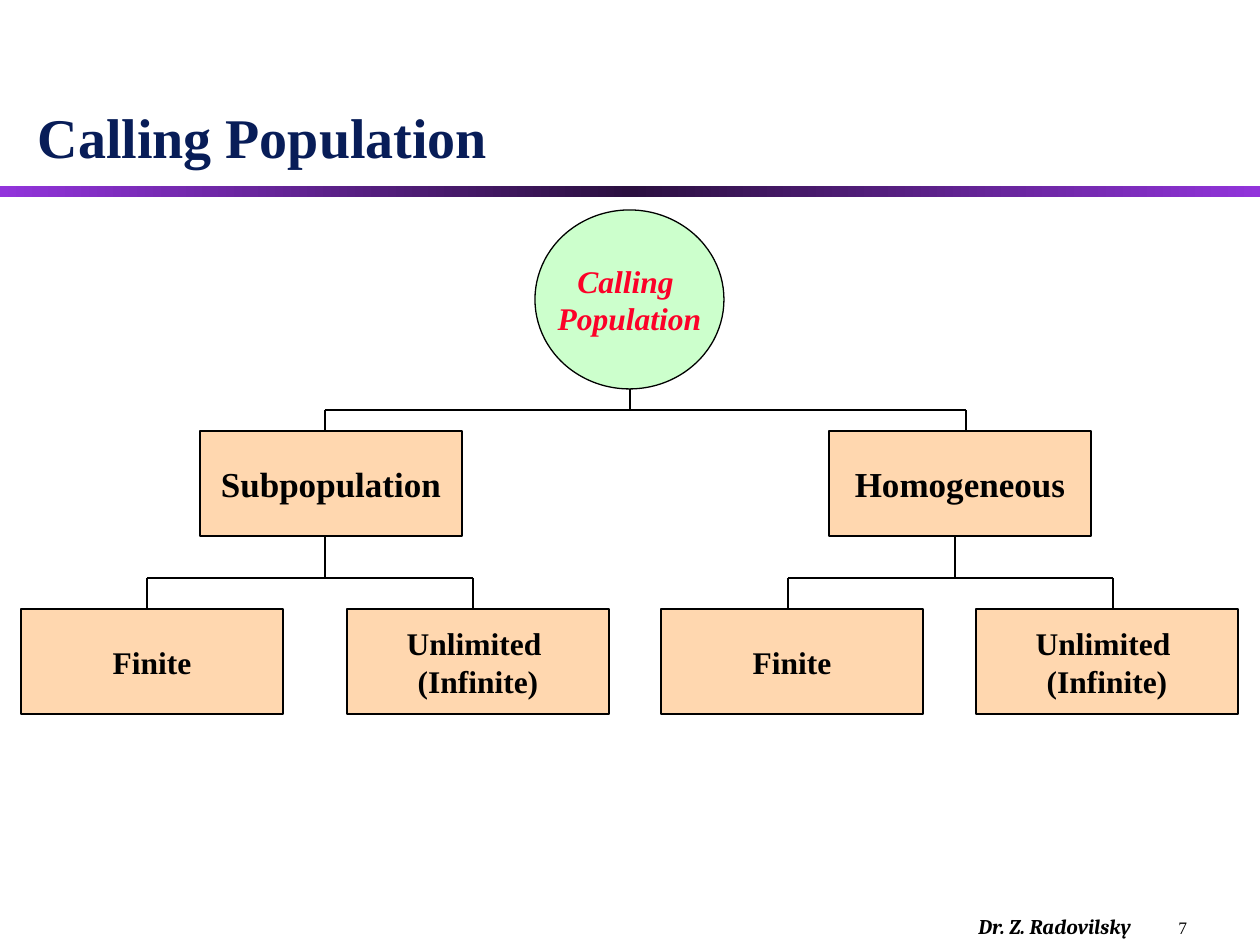
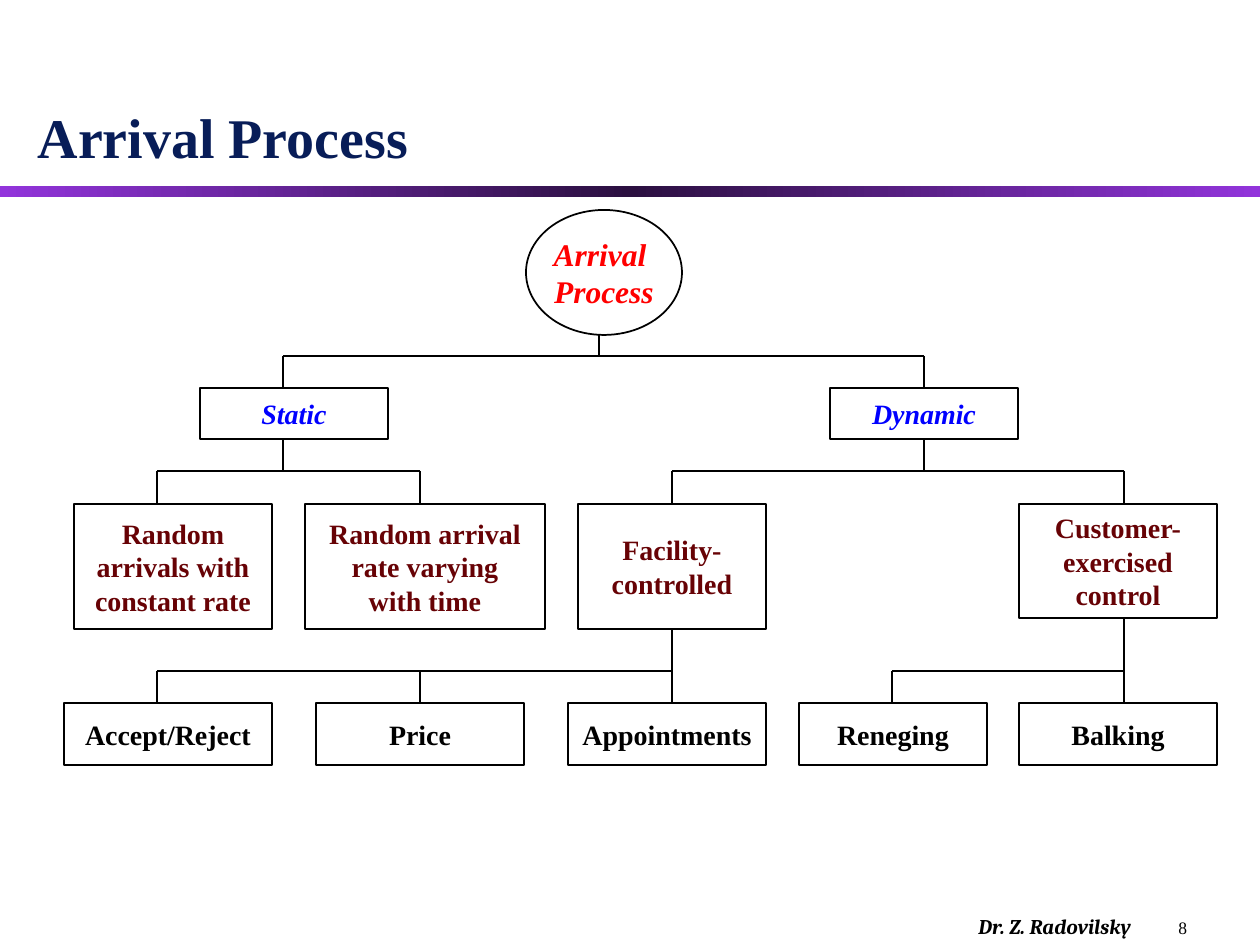
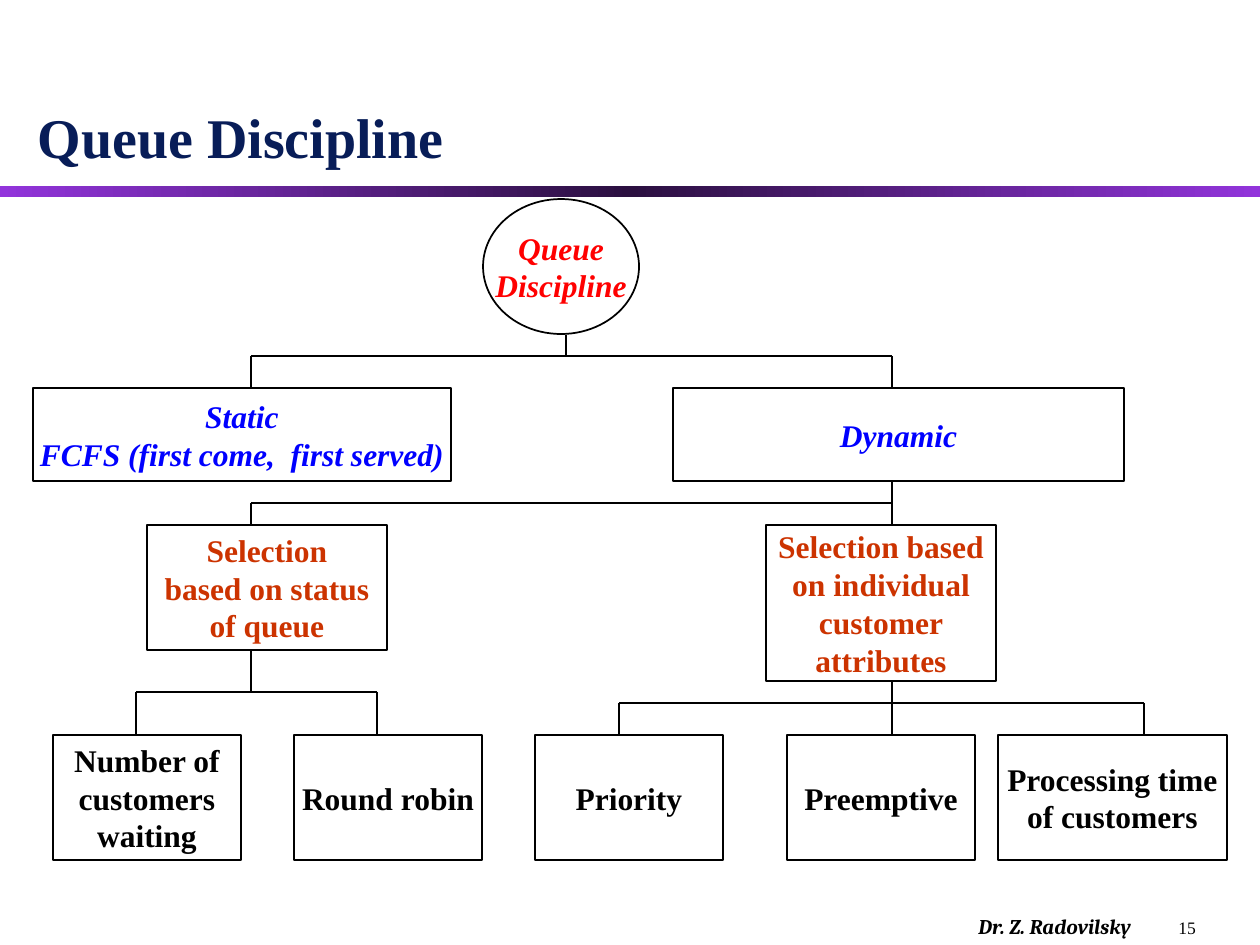
import copy

import pptx
import pptx.dml.color
import pptx.enum.shapes
import pptx.enum.text
import pptx.oxml.ns
import pptx.util

RGBColor = pptx.dml.color.RGBColor
MSO_SHAPE = pptx.enum.shapes.MSO_SHAPE

PX_PER_INCH = 126
SERIF = "Times New Roman"
FOOTER_FONT = "Cambria"

BLACK = RGBColor(0x00, 0x00, 0x00)
NAVY = RGBColor(0x08, 0x1D, 0x58)
PURPLE = RGBColor(0x92, 0x34, 0xDB)
DARK_PURPLE = RGBColor(0x2B, 0x10, 0x40)
GREEN = RGBColor(0xCC, 0xFF, 0xCC)
PEACH = RGBColor(0xFF, 0xD7, 0xAF)
CRIMSON = RGBColor(0xFC, 0x01, 0x28)
RED = RGBColor(0xFF, 0x00, 0x00)
BLUE = RGBColor(0x00, 0x00, 0xFF)
MAROON = RGBColor(0x67, 0x02, 0x05)
RUST = RGBColor(0xCC, 0x33, 0x00)


def px(length):
    return pptx.util.Emu(round(length * 914400 / PX_PER_INCH))


class TreeDeck:
    """Holds the shared style and the slide being drawn."""

    def __init__(self):
        self.presentation = pptx.Presentation()
        self.presentation.slide_width = px(1260)
        self.presentation.slide_height = px(945)
        self.slide = None
        self.line_width = 1
        self.size = 18

    def new_slide(self, title, number, line_width, size):
        layout = self.presentation.slide_layouts.get_by_name("Title Only")
        self.slide = self.presentation.slides.add_slide(layout)
        self.line_width = line_width
        self.size = size
        self.title(title)
        self.band()
        self.label("Dr. Z. Radovilsky", (966, 907, 262, 38), 12, FOOTER_FONT, emphasis=True)
        self.label(str(number), (1166, 911, 63, 34), 10, SERIF)

    def format_text(self, frame, text, size, color, font=SERIF, bold=True, italic=False,
                    alignment=pptx.enum.text.PP_ALIGN.LEFT):
        frame.text = text
        for paragraph in frame.paragraphs:
            paragraph.alignment = alignment
            paragraph.font.name = font
            paragraph.font.size = pptx.util.Pt(size)
            paragraph.font.bold = bold
            paragraph.font.italic = italic
            paragraph.font.color.rgb = color

    def title(self, text):
        title = self.slide.shapes.title
        title.left, title.top, title.width, title.height = map(px, (25, 20, 1211, 156))
        frame = title.text_frame
        frame.auto_size = pptx.enum.text.MSO_AUTO_SIZE.NONE
        frame.vertical_anchor = pptx.enum.text.MSO_ANCHOR.BOTTOM
        self.format_text(frame, text, 32, NAVY)

    def band(self):
        band = self.slide.shapes.add_shape(MSO_SHAPE.RECTANGLE, *map(px, (0, 186, 1260, 11)))
        band.shadow.inherit = False
        band.line.fill.background()
        band.fill.gradient()
        band.fill.gradient_angle = 0
        stop_list = band._element.spPr.find(".//" + pptx.oxml.ns.qn("a:gsLst"))
        stop_list.append(copy.deepcopy(stop_list[0]))
        colors = (PURPLE, DARK_PURPLE, PURPLE)
        for stop, position, color in zip(band.fill.gradient_stops, (0, 0.5, 1), colors):
            stop.position = position
            stop.color.rgb = color

    def label(self, text, bounds, size, font, emphasis=False):
        box = self.slide.shapes.add_textbox(*map(px, bounds))
        box.text_frame.word_wrap = True
        self.format_text(box.text_frame, text, size, BLACK, font, emphasis, emphasis)

    def node(self, text, left, top, width, height, color=BLACK, fill=None, size=None,
             italic=False, outline=MSO_SHAPE.RECTANGLE):
        shape = self.slide.shapes.add_shape(outline, *map(px, (left, top, width, height)))
        shape.shadow.inherit = False
        if fill is None:
            shape.fill.background()
        else:
            shape.fill.solid()
            shape.fill.fore_color.rgb = fill
        shape.line.color.rgb = BLACK
        shape.line.width = pptx.util.Pt(self.line_width)
        frame = shape.text_frame
        frame.word_wrap = False
        frame.vertical_anchor = pptx.enum.text.MSO_ANCHOR.MIDDLE
        self.format_text(frame, text, size or self.size, color, italic=italic,
                         alignment=pptx.enum.text.PP_ALIGN.CENTER)

    def root(self, text, left, top, width, height, color=RED, fill=None):
        self.node(text, left, top, width, height, color, fill, size=18, italic=True,
                  outline=MSO_SHAPE.OVAL)

    def line(self, x1, y1, x2, y2):
        straight = pptx.enum.shapes.MSO_CONNECTOR.STRAIGHT
        connector = self.slide.shapes.add_connector(straight, *map(px, (x1, y1, x2, y2)))
        connector.line.color.rgb = BLACK
        connector.line.width = pptx.util.Pt(self.line_width)
        properties = connector._element.spPr
        properties.append(properties.makeelement(pptx.oxml.ns.qn("a:effectLst"), {}))

    def branch(self, stem, top, bus, drops, bottom):
        """Stem down to a horizontal bus, then a drop to each child."""
        self.line(stem, top, stem, bottom if stem in drops else bus)
        self.line(min(drops), bus, max(drops), bus)
        for drop in drops:
            if drop != stem:
                self.line(drop, bus, drop, bottom)


def calling_population(deck):
    deck.new_slide("Calling Population", 7, line_width=0.75, size=18)
    deck.root("Calling \nPopulation", 535, 210, 189, 179, CRIMSON, GREEN)
    deck.branch(630, 389, 410, (325, 966), 431)

    # Each half: kind, its left and stem, its children's lefts and drops
    halves = (
        ("Subpopulation", 200, 325, (21, 347), (147, 473)),
        ("Homogeneous", 829, 955, (661, 976), (788, 1113)),
    )
    for kind, left, stem, child_lefts, drops in halves:
        deck.node(kind, left, 431, 262, 105, fill=PEACH, size=20)
        for text, child_left in zip(("Finite", "Unlimited \n(Infinite)"), child_lefts):
            deck.node(text, child_left, 609, 262, 105, fill=PEACH)
        deck.branch(stem, 536, 578, drops, 609)


def arrival_process(deck):
    deck.new_slide("Arrival Process", 8, line_width=1, size=16)
    deck.root("Arrival \nProcess", 526, 210, 156, 125)

    for text, left in (("Static", 200), ("Dynamic", 830)):
        deck.node(text, left, 388, 188, 51, BLUE, italic=True)

    controls = (
        ("Random\narrivals with\nconstant rate", 74, 198, 125),
        ("Random arrival\nrate varying\nwith time", 305, 240, 125),
        ("Facility-\ncontrolled", 578, 188, 125),
        ("Customer-\nexercised\ncontrol", 1019, 198, 114),
    )
    for text, left, width, height in controls:
        deck.node(text, left, 504, width, height, MAROON)

    actions = (
        ("Accept/Reject", 64, 208),
        ("Price", 316, 208),
        ("Appointments", 568, 198),
        ("Reneging", 799, 188),
        ("Balking", 1019, 198),
    )
    for text, left, width in actions:
        deck.node(text, left, 703, width, 62)

    deck.branch(599, 335, 356, (283, 924), 388)
    deck.branch(283, 439, 471, (157, 420), 503)
    deck.branch(924, 439, 471, (672, 1124), 503)
    deck.branch(672, 629, 671, (157, 420, 672), 703)
    deck.branch(1124, 618, 671, (892, 1124), 703)


def queue_discipline(deck):
    deck.new_slide("Queue Discipline", 15, line_width=1, size=18)
    deck.root("Queue\nDiscipline", 483, 199, 156, 135)

    deck.node("Static\nFCFS (first come,  first served)", 33, 388, 418, 93, BLUE, italic=True)
    deck.node("Dynamic", 673, 388, 451, 93, BLUE, italic=True)

    deck.node("Selection\nbased on status\nof queue", 147, 525, 240, 125, RUST)
    deck.node("Selection based\non individual\ncustomer\nattributes", 766, 525, 230, 156, RUST)

    rules = (
        ("Number of\ncustomers\nwaiting", 53, 188),
        ("Round robin", 294, 188),
        ("Priority", 535, 188),
        ("Preemptive", 787, 188),
        ("Processing time\nof customers", 998, 229),
    )
    for text, left, width in rules:
        deck.node(text, left, 735, width, 125)

    deck.branch(566, 335, 356, (251, 892), 388)
    deck.branch(892, 482, 503, (251, 892), 525)
    deck.branch(251, 650, 692, (136, 377), 735)
    deck.branch(892, 682, 703, (619, 892, 1144), 735)


def main():
    deck = TreeDeck()
    calling_population(deck)
    arrival_process(deck)
    queue_discipline(deck)
    deck.presentation.save("out.pptx")


if __name__ == "__main__":
    main()
